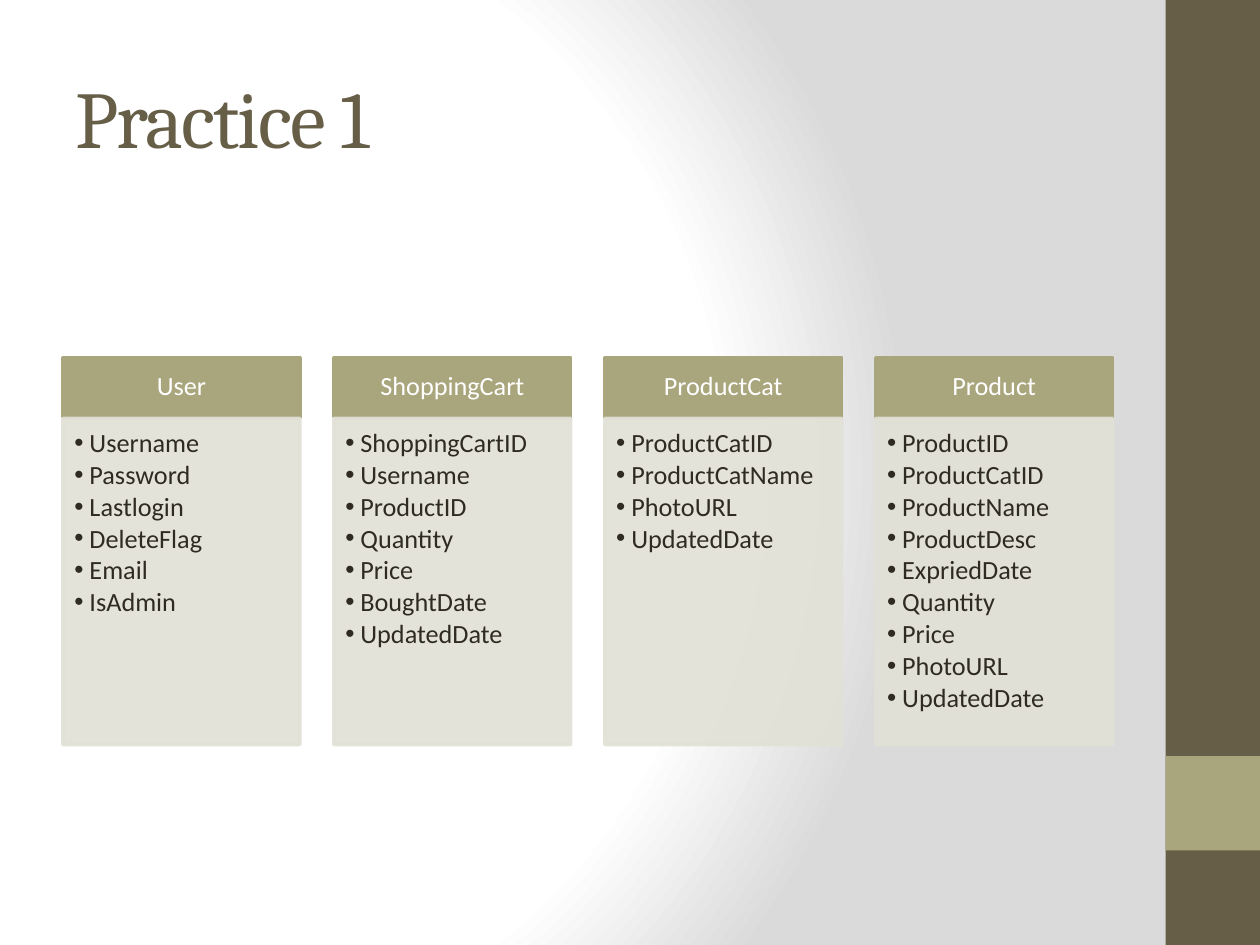
"""Build the Practice 1 slide with four lists of table fields."""
import dataclasses

import lxml.etree
import pptx
import pptx.dml.color
import pptx.enum.shapes
import pptx.enum.text
import pptx.oxml.ns
import pptx.util

Inches = pptx.util.Inches
Pt = pptx.util.Pt
qn = pptx.oxml.ns.qn
Align = pptx.enum.text.PP_ALIGN
Anchor = pptx.enum.text.MSO_ANCHOR


@dataclasses.dataclass
class Theme:
    dark: str = "675E47"
    olive: str = "A9A57C"
    pale: str = "E2E1D7"
    ink: str = "2F2B20"
    white: str = "FFFFFF"
    grey: str = "DADADA"
    head: str = "Cambria"
    body: str = "Calibri"
    large: int = 46
    small: int = 15


def add(node, tag, **attrs):
    return lxml.etree.SubElement(node, qn(tag), attrs)


def rgb(code):
    return pptx.dml.color.RGBColor.from_string(code)


class Page:
    def __init__(self, slide, theme):
        self.slide = slide
        self.theme = theme

    def back(self, stops):
        self.slide.background.fill.gradient()
        grad = self.slide.element.find(".//" + qn("a:gradFill"))
        for node in list(grad):
            grad.remove(node)
        group = add(grad, "a:gsLst")
        for pos, color in stops:
            add(add(group, "a:gs", pos=str(pos * 1000)), "a:srgbClr", val=color)
        ring = add(grad, "a:path", path="circle")
        add(ring, "a:fillToRect", l="20000", t="50000", r="100000", b="50000")

    def rect(self, x, y, w, h, color, edge=False, alpha=None):
        kind = pptx.enum.shapes.MSO_SHAPE.RECTANGLE
        box = self.slide.shapes.add_shape(kind, Inches(x), Inches(y), Inches(w), Inches(h))
        box.shadow.inherit = False
        box.fill.solid()
        box.fill.fore_color.rgb = rgb(color)
        if edge:
            box.line.color.rgb = rgb(color)
            box.line.width = Pt(2)
        else:
            box.line.fill.background()
        if alpha:
            for node in box.element.spPr.iter(qn("a:srgbClr")):
                add(node, "a:alpha", val=str(alpha * 1000))
        return box

    def text(self, box, lines, font, size, color, align, anchor, pads):
        frame = box.text_frame
        frame.word_wrap = True
        frame.vertical_anchor = anchor
        frame.margin_left, frame.margin_top, frame.margin_right, frame.margin_bottom = map(Inches, pads)
        frame.text = "\n".join(lines)
        for para in frame.paragraphs:
            para.alignment = align
            for run in para.runs:
                run.font.name = font
                run.font.size = Pt(size)
                run.font.color.rgb = rgb(color)
        return frame.paragraphs

    def title(self, words, x, y, w, h):
        look = self.theme
        box = self.slide.shapes.add_textbox(Inches(x), Inches(y), Inches(w), Inches(h))
        paras = self.text(box, [words], look.head, look.large, look.dark,
                          Align.LEFT, Anchor.MIDDLE, (0.1, 0.05, 0.1, 0.05))
        paras[0].runs[0].font._element.set("spc", "-100")

    def header(self, name, x, y, w, h):
        look = self.theme
        box = self.rect(x, y, w, h, look.olive, edge=True)
        paras = self.text(box, [name], look.body, look.small, look.white,
                          Align.CENTER, Anchor.MIDDLE, (0.12, 0.07, 0.12, 0.07))
        paras[0].line_spacing = 0.9

    def fields(self, names, x, y, w, h):
        look = self.theme
        box = self.rect(x, y, w, h, look.pale, edge=True, alpha=90)
        paras = self.text(box, names, look.body, look.small, look.ink,
                          Align.LEFT, Anchor.TOP, (0.09, 0.09, 0.12, 0.13))
        for para in paras:
            para.level = 1
            para.line_spacing = 0.9
            para.space_after = Pt(2)
            props = para._p.get_or_add_pPr()
            props.set("marL", str(Inches(0.12)))
            props.set("indent", str(-Inches(0.12)))
            add(props, "a:buFont", typeface="Arial")
            add(props, "a:buChar", char="•")


TABLES = {
    "User": ["Username", "Password", "Lastlogin", "DeleteFlag", "Email", "IsAdmin"],
    "ShoppingCart": ["ShoppingCartID", "Username", "ProductID", "Quantity", "Price",
                     "BoughtDate", "UpdatedDate"],
    "ProductCat": ["ProductCatID", "ProductCatName", "PhotoURL", "UpdatedDate"],
    "Product": ["ProductID", "ProductCatID", "ProductName", "ProductDesc", "ExpriedDate",
                "Quantity", "Price", "PhotoURL", "UpdatedDate"],
}

deck = pptx.Presentation()
deck.slide_width = Inches(10)
deck.slide_height = Inches(7.5)
look = Theme()
page = Page(deck.slides.add_slide(deck.slide_layouts[6]), look)

page.back([(0, look.white), (75, look.white), (100, look.grey)])
page.rect(9.25, 0, 0.75, 7.5, look.dark)
page.rect(9.25, 6, 0.75, 0.75, look.olive)
page.title("Practice 1", 0.5, 0.3, 8.33, 1.25)

left, step, width = 0.5, 2.15, 1.88
for index, (name, names) in enumerate(TABLES.items()):
    x = left + index * step
    page.header(name, x, 2.84, width, 0.47)
    page.fields(names, x, 3.32, width, 2.59)

deck.save("out.pptx")
